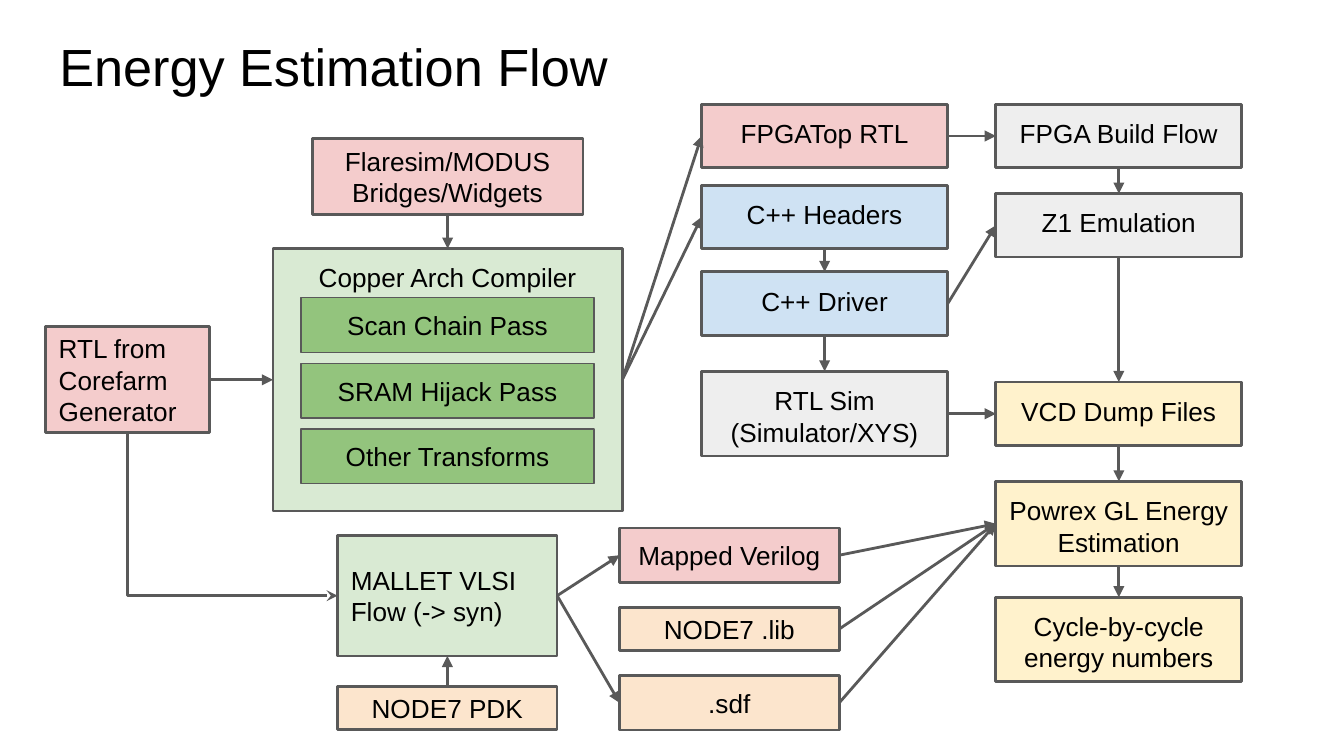
import pptx
import pptx.dml.color
import pptx.enum.shapes
import pptx.enum.text
import pptx.oxml
import pptx.oxml.ns
import pptx.util

Cm = pptx.util.Cm
Pt = pptx.util.Pt
ALIGN = pptx.enum.text.PP_ALIGN
ANCHOR = pptx.enum.text.MSO_ANCHOR
CONNECTOR = pptx.enum.shapes.MSO_CONNECTOR

TITLE = "Energy Estimation Flow"
FONT = "Arial"
BLACK, GREY = "000000", "595959"
FILLS = {
    "rtl": "F4CCCC", "tool": "D9EAD3", "pass": "93C47D", "library": "FCE5CD",
    "driver": "CFE2F3", "run": "EEEEEE", "result": "FFF2CC",
}
TOP, MIDDLE = ANCHOR.TOP, ANCHOR.MIDDLE
LEFT, CENTER = ALIGN.LEFT, ALIGN.CENTER

COLUMNS = [
    (0.86, 3.1, MIDDLE, LEFT, [("generator", "RTL from Corefarm Generator", "rtl", 6.18, 2)]),
    (5.16, 6.6, TOP, CENTER, [("compiler", "Copper Arch Compiler", "tool", 4.7, 4.96)]),
    (5.9, 5.12, MIDDLE, CENTER, [("bridges", "Flaresim/MODUS Bridges/Widgets", "rtl", 2.62, 1.44)]),
    (6.38, 4.15, MIDDLE, LEFT, [("synthesis", "MALLET VLSI Flow (-> syn)", "tool", 10.12, 2.28)]),
    (6.38, 4.15, MIDDLE, CENTER, [("pdk", "NODE7 PDK", "library", 12.97, 0.82)]),
    (11.71, 4.15, MIDDLE, CENTER, [
        ("verilog", "Mapped Verilog", "rtl", 9.98, 1.03),
        ("lib", "NODE7 .lib", "library", 11.48, 0.82),
        ("sdf", ".sdf", "library", 12.77, 1.03),
    ]),
    (13.26, 4.65, TOP, CENTER, [
        ("fpga_rtl", "FPGATop RTL", "rtl", 1.97, 1.2),
        ("headers", "C++ Headers", "driver", 3.5, 1.2),
        ("driver", "C++ Driver", "driver", 5.14, 1.2),
        ("simulation", "RTL Sim (Simulator/XYS)", "run", 7.02, 1.6),
    ]),
    (18.82, 4.65, TOP, CENTER, [
        ("fpga_build", "FPGA Build Flow", "run", 1.97, 1.2),
        ("emulation", "Z1 Emulation", "run", 3.66, 1.2),
        ("dump", "VCD Dump Files", "result", 7.22, 1.2),
        ("estimation", "Powrex GL Energy Estimation", "result", 9.1, 1.6),
        ("numbers", "Cycle-by-cycle energy numbers", "result", 11.29, 1.6),
    ]),
]

PASSES = ["Scan Chain Pass", "SRAM Hijack Pass", "Other Transforms"]
PASS_LEFT, PASS_TOP, PASS_WIDTH, PASS_HEIGHT, PASS_STEP = 5.69, 5.63, 5.54, 1.03, 1.24

TOP_SIDE, LEFT_SIDE, BOTTOM_SIDE, RIGHT_SIDE = range(4)
ACROSS = [
    ("generator", "compiler"), ("compiler", "fpga_rtl"), ("compiler", "headers"),
    ("fpga_rtl", "fpga_build"), ("simulation", "dump"), ("driver", "emulation"),
    ("synthesis", "verilog"), ("synthesis", "sdf"), ("verilog", "estimation"),
    ("lib", "estimation"), ("sdf", "estimation"),
]
DOWN = [
    ("bridges", "compiler"), ("fpga_build", "emulation"), ("emulation", "dump"),
    ("headers", "driver"), ("driver", "simulation"), ("dump", "estimation"),
    ("estimation", "numbers"),
]
UP = [("pdk", "synthesis")]


def color(value):
    return pptx.dml.color.RGBColor.from_string(value)


def write_text(shape, text, size, anchor, alignment):
    frame = shape.text_frame
    frame.text = text
    frame.word_wrap = True
    frame.auto_size = pptx.enum.text.MSO_AUTO_SIZE.NONE
    frame.vertical_anchor = anchor
    frame.margin_left = frame.margin_right = Cm(0.25)
    frame.margin_top = frame.margin_bottom = Cm(0.25)
    paragraph = frame.paragraphs[0]
    paragraph.alignment = alignment
    font = paragraph.runs[0].font
    font.name, font.size = FONT, Pt(size)
    font.color.rgb = color(BLACK)


def add_box(slide, text, fill, left, top, width, height, anchor, alignment, line_width=1.5):
    shape = slide.shapes.add_shape(
        pptx.enum.shapes.MSO_SHAPE.RECTANGLE, Cm(left), Cm(top), Cm(width), Cm(height))
    shape.shadow.inherit = False
    shape.fill.solid()
    shape.fill.fore_color.rgb = color(FILLS[fill])
    shape.line.color.rgb = color(GREY)
    shape.line.width = Pt(line_width)
    write_text(shape, text, 14, anchor, alignment)
    return shape


def add_arrow(slide, start, start_side, end, end_side, kind=CONNECTOR.STRAIGHT, head="triangle"):
    arrow = slide.shapes.add_connector(kind, 0, 0, 0, 0)
    arrow.begin_connect(start, start_side)
    arrow.end_connect(end, end_side)
    arrow.line.color.rgb = color(GREY)
    arrow.line.width = Pt(1.5)
    tail = pptx.oxml.parse_xml(
        f'<a:tailEnd {pptx.oxml.ns.nsdecls("a")} type="{head}"/>')
    arrow.line._get_or_add_ln().append(tail)
    arrow._element.spPr.append(
        pptx.oxml.parse_xml(f'<a:effectLst {pptx.oxml.ns.nsdecls("a")}/>'))
    return arrow


def turn_down_then_right(arrow):
    across, down = arrow.width, arrow.height
    arrow.left += (across - down) // 2
    arrow.top += (down - across) // 2
    arrow.width, arrow.height = down, across
    properties = arrow._element.spPr
    frame = properties.find(pptx.oxml.ns.qn("a:xfrm"))
    frame.set("rot", str(270 * 60000))
    frame.set("flipH", "1")
    properties.find(pptx.oxml.ns.qn("a:prstGeom")).set("prst", "bentConnector2")


def main():
    presentation = pptx.Presentation()
    presentation.slide_width, presentation.slide_height = Cm(25.4), Cm(14.29)
    slide = presentation.slides.add_slide(presentation.slide_layouts[5])

    title = slide.shapes.title
    title.left, title.top, title.width, title.height = Cm(0.87), Cm(0.39), Cm(23.67), Cm(1.6)
    write_text(title, TITLE, 28, TOP, LEFT)

    boxes = {}
    for left, width, anchor, alignment, entries in COLUMNS:
        for name, text, fill, top, height in entries:
            boxes[name] = add_box(slide, text, fill, left, top, width, height, anchor, alignment)

    for index, text in enumerate(PASSES):
        add_box(slide, text, "pass", PASS_LEFT, PASS_TOP + index * PASS_STEP,
                PASS_WIDTH, PASS_HEIGHT, MIDDLE, CENTER, 0.75)

    for links, start_side, end_side in [
        (ACROSS, RIGHT_SIDE, LEFT_SIDE),
        (DOWN, BOTTOM_SIDE, TOP_SIDE),
        (UP, TOP_SIDE, BOTTOM_SIDE),
    ]:
        for start, end in links:
            add_arrow(slide, boxes[start], start_side, boxes[end], end_side)

    turn_down_then_right(add_arrow(
        slide, boxes["generator"], BOTTOM_SIDE, boxes["synthesis"], LEFT_SIDE,
        CONNECTOR.ELBOW, "stealth"))

    presentation.save("out.pptx")


if __name__ == "__main__":
    main()
